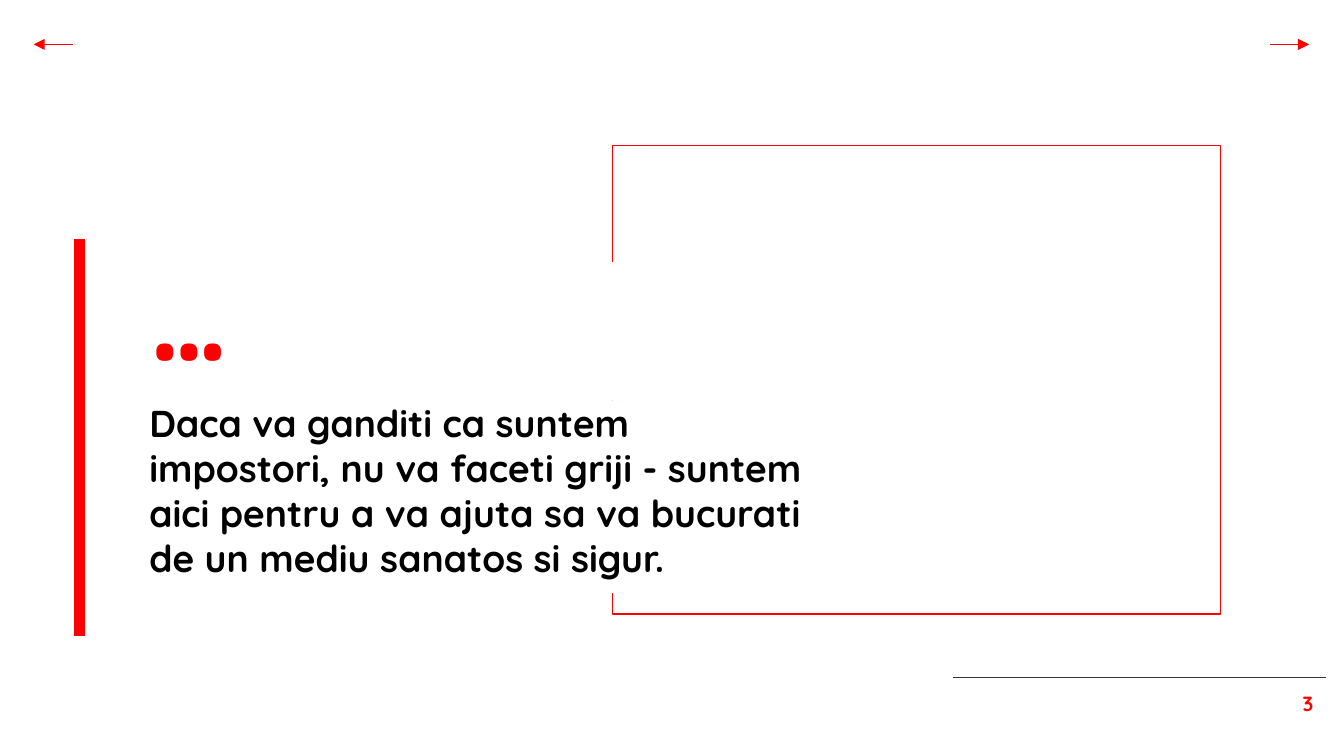
from typing import NamedTuple

from lxml.etree import SubElement
from pptx import Presentation
from pptx.dml.color import RGBColor
from pptx.enum.shapes import MSO_CONNECTOR, MSO_SHAPE
from pptx.enum.text import MSO_ANCHOR as Anchor, MSO_AUTO_SIZE as AutoSize, PP_ALIGN as Align
from pptx.oxml.ns import qn
from pptx.util import Pt

RED = RGBColor(0xFD, 0x00, 0x00)
BLACK = RGBColor(0x00, 0x00, 0x00)
CHARCOAL = RGBColor(0x33, 0x33, 0x33)
WHITE = RGBColor(0xFF, 0xFF, 0xFF)
FONT = "Quicksand"
INSET = 7.2


class Rule(NamedTuple):
    start: tuple[float, float]
    end: tuple[float, float]
    color: RGBColor = RED
    width: float = 0.75
    arrow: bool = False


class TextStyle(NamedTuple):
    size: float
    color: RGBColor
    align: Align = Align.LEFT
    anchor: Anchor = Anchor.TOP
    vertical_inset: float = INSET
    filled: bool = True


ACCENT_BAR = Rule((42.5, 128), (42.5, 341), width=6)
FOOTER_RULE = Rule((510.5, 363), (710.5, 363), color=CHARCOAL)
NEXT_ARROW = Rule((680.4, 23.8), (701.3, 23.8), arrow=True)
BACK_ARROW = Rule((38.9, 23.8), (18, 23.8), arrow=True)

NUMBER_STYLE = TextStyle(11, RED, align=Align.RIGHT, filled=False)
TITLE_STYLE = TextStyle(68, RED, anchor=Anchor.BOTTOM)
MESSAGE_STYLE = TextStyle(20, BLACK, vertical_inset=0)


def draw_rule(page, rule: Rule) -> None:
    line = page.shapes.add_connector(
        MSO_CONNECTOR.STRAIGHT, *(Pt(value) for value in rule.start + rule.end)
    )
    line.line.color.rgb = rule.color
    line.line.width = Pt(rule.width)
    properties = line._element.spPr
    if rule.arrow:
        SubElement(properties.find(qn("a:ln")), qn("a:tailEnd"), type="triangle")
    SubElement(properties, qn("a:effectLst"))


def place(box, left: float, top: float, width: float, height: float) -> None:
    box.left, box.top = Pt(left), Pt(top)
    box.width, box.height = Pt(width), Pt(height)


def write(box, text: str, style: TextStyle) -> None:
    if style.filled:
        box.fill.solid()
        box.fill.fore_color.rgb = WHITE
    frame = box.text_frame
    frame.text = text
    frame.word_wrap = True
    frame.auto_size = AutoSize.NONE
    frame.vertical_anchor = style.anchor
    frame.margin_left = frame.margin_right = Pt(INSET)
    frame.margin_top = frame.margin_bottom = Pt(style.vertical_inset)
    para = frame.paragraphs[0]
    para.alignment = style.align
    font = para.runs[0].font
    font.name = FONT
    font.size = Pt(style.size)
    font.bold = True
    font.color.rgb = style.color


def add_text(page, bounds: tuple[float, float, float, float], text: str, style: TextStyle) -> None:
    box = page.shapes.add_textbox(*(Pt(value) for value in bounds))
    write(box, text, style)


def add_frame(page) -> None:
    frame = page.shapes.add_shape(MSO_SHAPE.RECTANGLE, Pt(328), Pt(78), Pt(326), Pt(251))
    frame.shadow.inherit = False
    frame.fill.background()
    frame.line.color.rgb = RED
    frame.line.width = Pt(0.75)


def add_title(page, text: str) -> None:
    """Place the title in front of the shapes drawn so far."""
    title = page.shapes.title
    page.shapes._spTree.append(title._element)
    place(title, 72.9, 140.4, 405.4, 74.2)
    write(title, text, TITLE_STYLE)


def main() -> None:
    deck = Presentation()
    deck.slide_width, deck.slide_height = Pt(720), Pt(405)
    page = deck.slides.add_slide(deck.slide_layouts[5])

    draw_rule(page, ACCENT_BAR)
    draw_rule(page, FOOTER_RULE)
    add_text(page, (664.4, 363, 46.3, 31), "3", NUMBER_STYLE)
    add_frame(page)
    add_title(page, "…")
    add_text(
        page,
        (72.9, 214.6, 373.7, 103),
        "Daca va ganditi ca suntem impostori, nu va faceti griji - suntem aici "
        "pentru a va ajuta sa va bucurati de un mediu sanatos si sigur.",
        MESSAGE_STYLE,
    )
    draw_rule(page, NEXT_ARROW)
    draw_rule(page, BACK_ARROW)

    deck.save("out.pptx")


if __name__ == "__main__":
    main()
